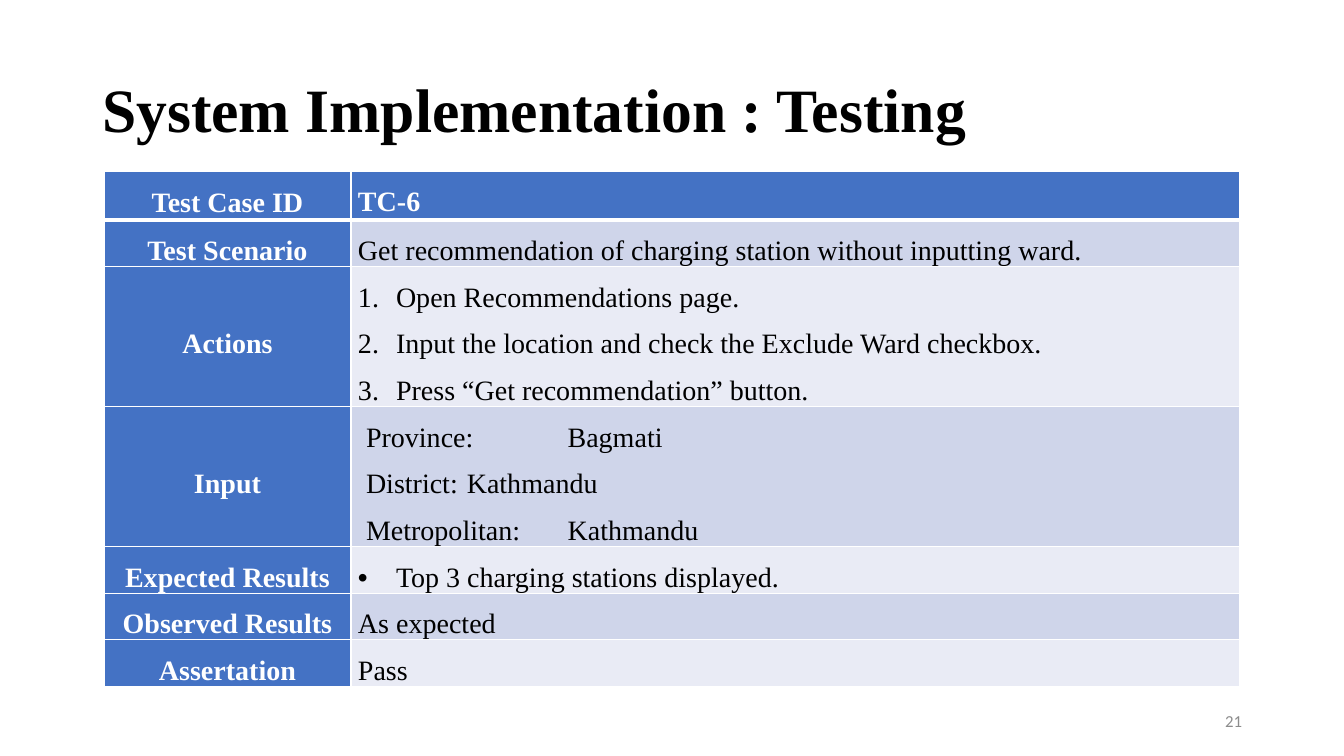
from dataclasses import dataclass

from lxml import etree
from pptx import Presentation
from pptx import util as u
from pptx.dml.color import RGBColor
from pptx.enum import text
from pptx.oxml import ns

SCALE = 12192000 / 1344
SERIF = "Times New Roman"
WHITE, BLACK, GREY, BLUE = "FFFFFF", "000000", "8C8C8C", "4472C4"
BANDS = ("E9EBF5", "CFD5EA")
INSET = 7


@dataclass
class TestRow:
    label: str
    lines: tuple[str, ...]
    height: int
    bullet: str = ""
    indent: int = 0


ROWS = [
    TestRow("Test Case ID", ("TC-6",), 49),
    TestRow("Test Scenario",
            ("Get recommendation of charging station without inputting ward.",), 46),
    TestRow("Actions", ("Open Recommendations page.",
                        "Input the location and check the Exclude Ward checkbox.",
                        "Press “Get recommendation” button."), 140, "number", 38),
    TestRow("Input", ("Province: \tBagmati", "District: \tKathmandu",
                      "Metropolitan: \tKathmandu"), 140, indent=8),
    TestRow("Expected Results", ("Top 3 charging stations displayed.",), 46, "dot", 38),
    TestRow("Observed Results", ("As expected",), 46),
    TestRow("Assertation", ("Pass",), 46),
]


def px(n: float) -> int:
    return u.Emu(round(n * SCALE))


def rgb(color: str) -> RGBColor:
    return RGBColor.from_string(color)


def set_all(obj, values: dict) -> None:
    for name, value in values.items():
        setattr(obj, name, value)


def child(parent, tag: str, **attrs: str):
    return etree.SubElement(parent, ns.qn(tag), attrs)


def write(p, words: str, size: int, font: str, color: str, bold: bool, align) -> None:
    p.alignment = align
    r = p.add_run()
    r.text = words
    set_all(r.font, {"size": u.Pt(size), "name": font, "bold": bold})
    r.font.color.rgb = rgb(color)


def add_bullet(p, kind: str, indent: int) -> None:
    pPr = p._p.get_or_add_pPr()
    pPr.set("defTabSz", str(u.Inches(1)))
    pPr.set("marL", str(px(indent)))
    pPr.set("indent", str(px(-indent) if kind else 0))
    if kind == "number":
        child(pPr, "a:buFont", typeface="+mj-lt")
        child(pPr, "a:buAutoNum", type="arabicPeriod")
    elif kind == "dot":
        child(pPr, "a:buFont", typeface="Arial")
        child(pPr, "a:buChar", char="•")


def add_borders(cell, top: int, bottom: int) -> None:
    tcPr = cell._tc.get_or_add_tcPr()
    for side, width in (("L", 1), ("R", 1), ("T", top), ("B", bottom)):
        ln = child(tcPr, f"a:ln{side}", w=str(u.Pt(width)))
        child(child(ln, "a:solidFill"), "a:srgbClr", val=WHITE)


def fill_cell(cell, lines: tuple[str, ...], fill: str, color: str, bold: bool,
              align, anchor, bullet: str = "", indent: int = 0) -> None:
    set_all(cell, {"margin_left": px(INSET), "margin_right": px(INSET),
                   "margin_top": 0, "margin_bottom": 0, "vertical_anchor": anchor})
    cell.fill.solid()
    cell.fill.fore_color.rgb = rgb(fill)
    tf = cell.text_frame
    for i, line in enumerate(lines):
        p = tf.add_paragraph() if i else tf.paragraphs[0]
        p.line_spacing = 1.5
        write(p, line, 20, SERIF, color, bold, align)
        add_bullet(p, bullet, indent)


prs = Presentation()
set_all(prs, {"slide_width": px(1344), "slide_height": px(756)})
s = prs.slides.add_slide(prs.slide_layouts[5])

# Title
title = s.shapes.title
set_all(title, {"left": px(92), "top": px(40), "width": px(1159), "height": px(146)})
tf = title.text_frame
set_all(tf, {"vertical_anchor": text.MSO_ANCHOR.MIDDLE, "word_wrap": True,
             "auto_size": text.MSO_AUTO_SIZE.NONE})
tf.paragraphs[0].line_spacing = 0.9
write(tf.paragraphs[0], "System Implementation : Testing", 44, SERIF, BLACK, True,
      text.PP_ALIGN.LEFT)

# Test case table
widths = (247, 889)
frame = s.shapes.add_table(len(ROWS), len(widths), px(104), px(171), px(sum(widths)),
                           px(sum(row.height for row in ROWS)))
table = frame.table
set_all(table, {"first_row": False, "horz_banding": False})
for column, width in zip(table.columns, widths):
    column.width = px(width)
for i, row in enumerate(ROWS):
    table.rows[i].height = px(row.height)
    header = i == 0
    label, value = table.cell(i, 0), table.cell(i, 1)
    for cell in (label, value):
        add_borders(cell, 3 if i == 1 else 1, 3 if header else 1)
    fill_cell(label, (row.label,), BLUE, WHITE, True,
              text.PP_ALIGN.CENTER, text.MSO_ANCHOR.MIDDLE)
    fill_cell(value, row.lines, BLUE if header else BANDS[i % 2],
              WHITE if header else BLACK, header, text.PP_ALIGN.JUSTIFY,
              text.MSO_ANCHOR.TOP, row.bullet, row.indent)

# Page number
sp = s.shapes.add_textbox(px(950), px(701), px(302), px(40))
tf = sp.text_frame
set_all(tf, {"vertical_anchor": text.MSO_ANCHOR.MIDDLE, "word_wrap": True})
write(tf.paragraphs[0], "21", 12, "Calibri", GREY, False, text.PP_ALIGN.RIGHT)

prs.save("out.pptx")
